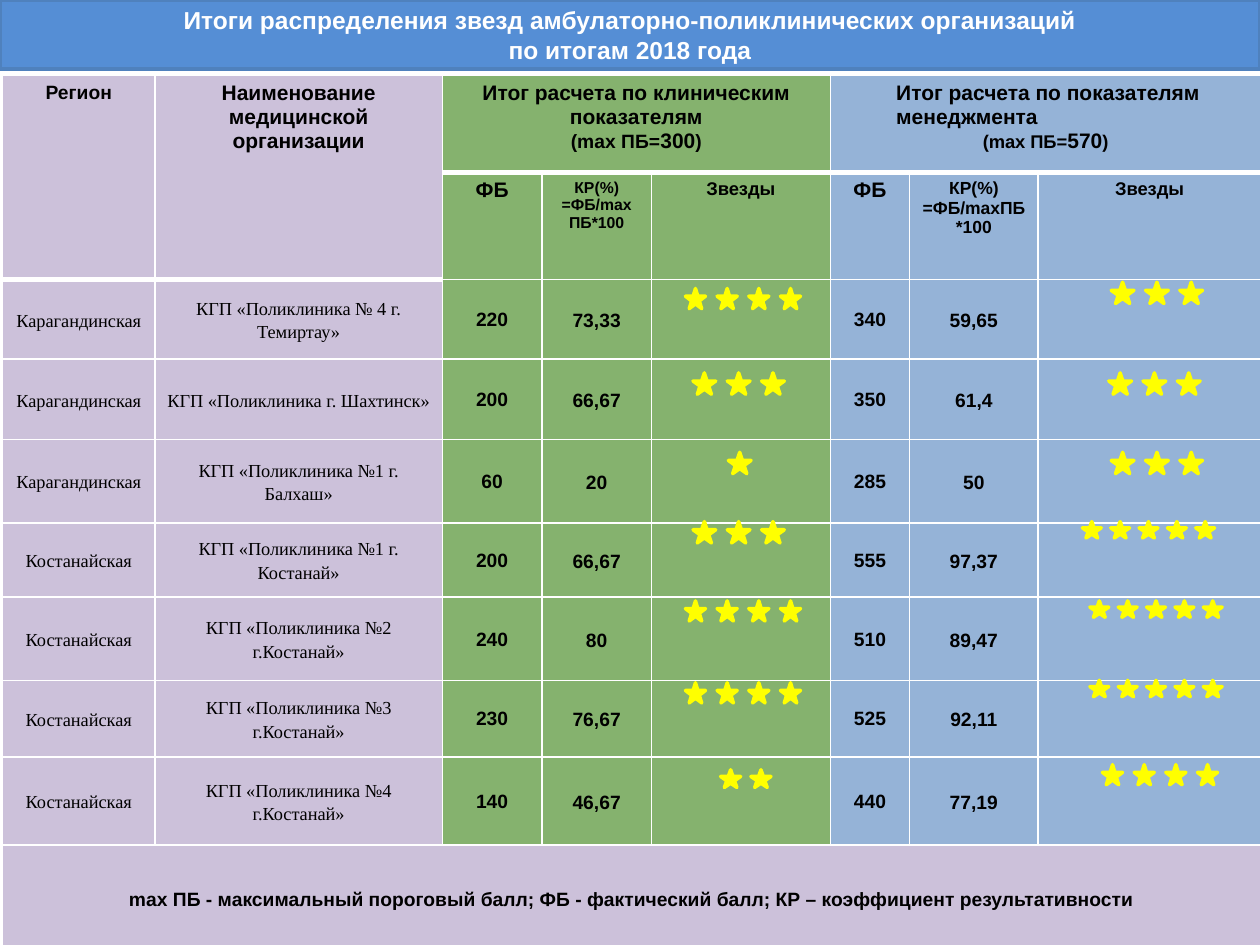
"""Build the slide with star ratings of outpatient organisations for 2018."""
import lxml.etree
import pptx
import pptx.dml.color
import pptx.enum.shapes
import pptx.enum.text
import pptx.oxml.ns
import pptx.util

Pt = pptx.util.Pt
RGBColor = pptx.dml.color.RGBColor
SHAPE = pptx.enum.shapes.MSO_SHAPE
ALIGN = pptx.enum.text.PP_ALIGN
ANCHOR = pptx.enum.text.MSO_ANCHOR
qn = pptx.oxml.ns.qn

WHITE = RGBColor(0xFF, 0xFF, 0xFF)
BLACK = RGBColor(0, 0, 0)
TITLE_FILL = RGBColor(0x55, 0x8E, 0xD5)
TITLE_LINE = RGBColor(0x4F, 0x81, 0xBD)
LILAC = RGBColor(0xCC, 0xC1, 0xDA)
GREEN = RGBColor(0x85, 0xB2, 0x6E)
BLUE = RGBColor(0x95, 0xB3, 0xD7)
YELLOW = RGBColor(0xFF, 0xFF, 0)

COLUMN_WIDTHS = [87.1, 164.2, 56.9, 62.6, 102.2, 45.4, 73.4, 127.4]
ROW_HEIGHTS = [55.4, 61.2, 45.4, 46.1, 47.5, 42.5, 47.5, 43.9, 50.4, 60.5]
COLUMN_FILLS = [LILAC] * 2 + [GREEN] * 3 + [BLUE] * 3

BOLD = {"name": "Arial", "bold": True, "color": BLACK}
SERIF = {"name": "Times New Roman", "size": Pt(10.5), "bold": False, "color": BLACK}
WIDE_MARGINS = {"margin_left": Pt(5), "margin_right": Pt(5), "margin_top": 0, "margin_bottom": 0}
THIN_MARGINS = {"margin_left": Pt(0.7), "margin_right": Pt(0.7), "margin_top": Pt(0.7), "margin_bottom": 0}

HEADERS = {
    (0, 0): [[("Регион", 11)]],
    (0, 1): [[("Наименование медицинской организации", 12)]],
    (0, 2): [[("Итог расчета по клиническим показателям", 12)],
             [("(mах ПБ=", 11), ("300", 12), (")", 11)]],
    (0, 5): [[("Итог расчета по показателям менеджмента", 12)],
             [("(mах ПБ=", 10.5), ("570", 12), (")", 10.5)]],
    (1, 2): [[("ФБ", 12)]],
    (1, 3): [[("КР(%)", 9)], [("=ФБ/mах ПБ*100", 9)]],
    (1, 4): [[("Звезды", 10.5)]],
    (1, 5): [[("ФБ", 12)]],
    (1, 6): [[("КР(%)", 10)], [("=ФБ/mахПБ *100", 10)]],
    (1, 7): [[("Звезды", 10.5)]],
}
MERGES = [((0, 0), (1, 0)), ((0, 1), (1, 1)), ((0, 2), (0, 4)), ((0, 5), (0, 7)), ((9, 0), (9, 7))]
CLINICS = [
    ("Карагандинская", "КГП «Поликлиника № 4 г. Темиртау»", "220", "73,33", "340", "59,65"),
    ("Карагандинская", "КГП «Поликлиника г. Шахтинск»", "200", "66,67", "350", "61,4"),
    ("Карагандинская", "КГП «Поликлиника №1 г. Балхаш»", "60", "20", "285", "50"),
    ("Костанайская", "КГП «Поликлиника №1 г. Костанай»", "200", "66,67", "555", "97,37"),
    ("Костанайская", "КГП «Поликлиника №2 г.Костанай»", "240", "80", "510", "89,47"),
    ("Костанайская", "КГП «Поликлиника №3 г.Костанай»", "230", "76,67", "525", "92,11"),
    ("Костанайская", "КГП «Поликлиника №4 г.Костанай»", "140", "46,67", "440", "77,19"),
]
CLINIC_COLUMNS = [0, 1, 2, 3, 5, 6]
SCORE_COLUMNS = (2, 5)
FOOTNOTE = ("mах ПБ - максимальный пороговый балл; ФБ - фактический балл; "
            "КР – коэффициент результативности")

STAR_SIZES = {1: (13, 12.2, 0), 2: (11.5, 10.1, 17.3), 3: (13, 12.2, 19.6),
              4: (11.5, 11.5, 18.1), 5: (10.8, 9.4, 16.2)}
STAR_ROWS = [
    (4, 391.7, 164.9), (3, 635, 161.3),
    (3, 396, 213.1), (3, 633.6, 213.1),
    (1, 416.2, 258.5), (3, 635, 258.5),
    (3, 396, 298.1), (5, 618.5, 298.1),
    (4, 391.7, 343.4), (5, 622.8, 343.4),
    (4, 391.7, 390.2), (5, 622.8, 388.8),
    (2, 411.8, 439.9), (4, 630, 437),
]


def apply_format(target, values):
    """Set each attribute of the target from a dict of values."""
    for name, value in values.items():
        if name == "color":
            target.color.rgb = value
        else:
            setattr(target, name, value)


def add_run(paragraph, text, font):
    """Append a formatted run."""
    run = paragraph.add_run()
    run.text = text
    apply_format(run.font, font)


def style_shape(shape, fill, line):
    """Give a shape a plain fill and a 2 pt outline."""
    shape.shadow.inherit = False
    shape.fill.solid()
    shape.fill.fore_color.rgb = fill
    shape.line.color.rgb = line
    shape.line.width = Pt(2)


def add_title(slide):
    """Add the title band."""
    shape = slide.shapes.add_shape(SHAPE.RECTANGLE, 0, 0, Pt(720), Pt(39.6))
    style_shape(shape, TITLE_FILL, TITLE_LINE)
    shape.text_frame.vertical_anchor = ANCHOR.MIDDLE
    paragraph = shape.text_frame.paragraphs[0]
    paragraph.alignment = ALIGN.CENTER
    font = dict(BOLD, size=Pt(14), color=WHITE)
    add_run(paragraph, "Итоги распределения звезд амбулаторно-поликлинических организаций", font)
    paragraph.add_line_break()
    add_run(paragraph, "по итогам 2018 года", font)


def set_borders(cell, bottom_width):
    """Draw white borders around a cell."""
    properties = cell._tc.get_or_add_tcPr()
    widths = {"a:lnL": 1, "a:lnR": 1, "a:lnT": 1, "a:lnB": bottom_width}
    for position, (tag, width) in enumerate(widths.items()):
        line = lxml.etree.Element(qn(tag), w=str(Pt(width)))
        fill = lxml.etree.SubElement(line, qn("a:solidFill"))
        lxml.etree.SubElement(fill, qn("a:srgbClr"), val=str(WHITE))
        properties.insert(position, line)


def fill_header(cell, paragraphs):
    """Write header paragraphs made of (text, size) runs."""
    for index, runs in enumerate(paragraphs):
        frame = cell.text_frame
        paragraph = frame.add_paragraph() if index else frame.paragraphs[0]
        paragraph.alignment = ALIGN.CENTER
        for text, size in runs:
            add_run(paragraph, text, dict(BOLD, size=Pt(size)))


def fill_body(cell, text, font, margins, spacing):
    """Write one vertically centred body paragraph."""
    apply_format(cell, dict(margins, vertical_anchor=ANCHOR.MIDDLE))
    paragraph = cell.text_frame.paragraphs[0]
    apply_format(paragraph, {"alignment": ALIGN.CENTER, "line_spacing": spacing})
    add_run(paragraph, text, font)


def add_results_table(slide):
    """Add the table of scores."""
    frame = slide.shapes.add_table(len(ROW_HEIGHTS), len(COLUMN_WIDTHS), Pt(1.5), Pt(43.2),
                                   Pt(sum(COLUMN_WIDTHS)), Pt(sum(ROW_HEIGHTS)))
    table = frame.table
    apply_format(table, {"first_row": False, "horz_banding": False})
    for column, width in zip(table.columns, COLUMN_WIDTHS):
        column.width = Pt(width)
    for row_index, (row, height) in enumerate(zip(table.rows, ROW_HEIGHTS)):
        row.height = Pt(height)
        for cell, color in zip(row.cells, COLUMN_FILLS):
            cell.fill.solid()
            cell.fill.fore_color.rgb = LILAC if row_index == len(ROW_HEIGHTS) - 1 else color
            set_borders(cell, 3 if row_index == 0 else 1)
    for first, last in MERGES:
        table.cell(*first).merge(table.cell(*last))
    for place, paragraphs in HEADERS.items():
        fill_header(table.cell(*place), paragraphs)
    management = table.cell(0, 5).text_frame.paragraphs[0]
    management.alignment = ALIGN.LEFT
    management._p.get_or_add_pPr().set("marL", str(Pt(30.5)))
    value_font = dict(BOLD, size=Pt(11))
    for row_index, values in enumerate(CLINICS, start=2):
        for column, text in zip(CLINIC_COLUMNS, values):
            is_score = column in SCORE_COLUMNS
            fill_body(table.cell(row_index, column), text, SERIF if column < 2 else value_font,
                      THIN_MARGINS if is_score else WIDE_MARGINS, 1.0 if is_score else 1.15)
    fill_body(table.cell(len(ROW_HEIGHTS) - 1, 0), FOOTNOTE, value_font, WIDE_MARGINS, 1.15)


def add_stars(slide, count, left, top):
    """Add a row of stars, grouped when there are several."""
    width, height, pitch = STAR_SIZES[count]
    shapes = slide.shapes.add_group_shape().shapes if count > 1 else slide.shapes
    for index in range(count):
        star = shapes.add_shape(SHAPE.STAR_5_POINT, Pt(left + index * pitch), Pt(top),
                                Pt(width), Pt(height))
        style_shape(star, YELLOW, YELLOW)


def main():
    """Build and save the presentation."""
    presentation = pptx.Presentation()
    presentation.slide_width, presentation.slide_height = Pt(720), Pt(540)
    slide = presentation.slides.add_slide(presentation.slide_layouts[6])
    add_title(slide)
    add_results_table(slide)
    for count, left, top in STAR_ROWS:
        add_stars(slide, count, left, top)
    presentation.save("out.pptx")


if __name__ == "__main__":
    main()
